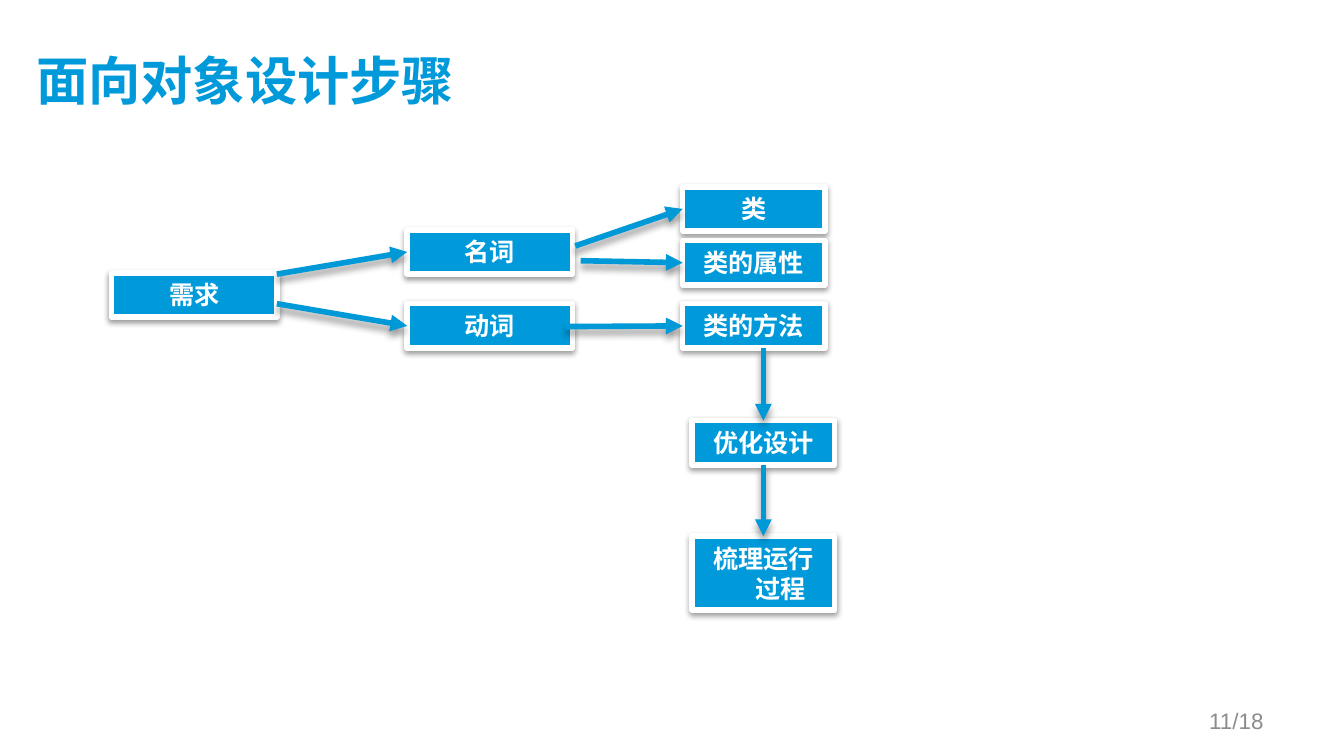
from lxml.etree import SubElement
from pptx import Presentation
from pptx.dml.color import RGBColor
from pptx.enum.shapes import MSO_CONNECTOR as CONN, MSO_SHAPE as SHAPE
from pptx.enum.text import MSO_ANCHOR as ANCHOR, MSO_AUTO_SIZE as AUTO, PP_ALIGN as ALIGN
from pptx.oxml.ns import qn
from pptx.util import Pt

PX = 9144  # 100 px to the inch
COLORS = {"title": "0099D9", "box": "009ADA", "arrow": "0099D8",
          "white": "FFFFFF", "page": "8C8C8C", "shadow": "000000"}
TOP, LEFT, BOTTOM = 0, 1, 2


def px(*lengths):
    return [n * PX for n in lengths]


def rgb(name):
    return RGBColor.from_string(COLORS[name])


def style_run(p, font, size, color, bold=False):
    r = p.runs[0]
    r.font.name, r.font.size, r.font.bold = font, Pt(size), bold
    r.font.color.rgb = rgb(color)
    return r


def add_shadow(sp, alpha, blur, dist):
    """Drop a shadow straight down; call it after the line is set."""
    effects = SubElement(sp._element.spPr, qn("a:effectLst"))
    shadow = SubElement(effects, qn("a:outerShdw"), blurRad=str(Pt(blur)),
                        dist=str(Pt(dist)), dir="5400000", rotWithShape="0")
    color = SubElement(shadow, qn("a:srgbClr"), val=COLORS["shadow"])
    SubElement(color, qn("a:alpha"), val=str(alpha * 1000))


def add_title(s, x, y, w, h):
    tf = s.shapes.add_textbox(*px(x, y, w, h)).text_frame
    tf.word_wrap, tf.vertical_anchor = True, ANCHOR.MIDDLE
    tf.margin_left = tf.margin_top = 0
    p = tf.paragraphs[0]
    p.text = "面向对象设计步骤"
    r = style_run(p, "Noto Sans CJK SC", 28, "title", True)
    SubElement(r.font._element, qn("a:ea"), typeface="Noto Sans CJK SC")


def add_page_number(s, x, y, w, h):
    tf = s.shapes.add_textbox(*px(x, y, w, h)).text_frame
    tf.word_wrap, tf.vertical_anchor = True, ANCHOR.MIDDLE
    p = tf.paragraphs[0]
    p.text = "11/18"
    p.alignment = ALIGN.RIGHT
    style_run(p, "Arial", 12, "page")


def add_box(s, text, x, y, w, h=33):
    sp = s.shapes.add_shape(SHAPE.RECTANGLE, *px(x, y, w, h))
    sp.fill.solid()
    sp.fill.fore_color.rgb = rgb("box")
    sp.line.color.rgb = rgb("white")
    sp.line.width = Pt(3)
    add_shadow(sp, 38, 3.1, 1.6)
    tf = sp.text_frame
    tf.word_wrap, tf.vertical_anchor = True, ANCHOR.TOP
    tf.auto_size = AUTO.SHAPE_TO_FIT_TEXT
    p = tf.paragraphs[0]
    p.text = text
    p.alignment = ALIGN.CENTER
    pPr = p._p.get_or_add_pPr()
    pPr.set("marL", str(25 * PX))
    pPr.set("indent", str(-25 * PX))
    style_run(p, "Calibri", 13.5, "white", True)
    return sp


def add_arrow(s, x, y, target, side, source=None):
    """Point from (x, y), or from the bottom of source, to a side of target."""
    c = s.shapes.add_connector(CONN.STRAIGHT, *px(x, y, x, y))
    if source:
        c.begin_connect(source, BOTTOM)
    c.end_connect(target, side)
    c.line.color.rgb = rgb("arrow")
    c.line.width = Pt(3)
    SubElement(c.line._get_or_add_ln(), qn("a:tailEnd"), type="triangle")
    add_shadow(c, 40, 4, 3)


def add_design_flow(s, x, y):
    words, classes, steps = x + 220, x + 425, x + 432
    add_box(s, "需求", x, y + 64, 123)
    noun = add_box(s, "名词", words, y + 32, 123)
    verb = add_box(s, "动词", words, y + 87, 123)
    cls = add_box(s, "类", classes, y, 106)
    attribute = add_box(s, "类的属性", classes, y + 40, 106)
    method = add_box(s, "类的方法", classes, y + 87, 106)
    refine = add_box(s, "优化设计", steps, y + 174, 106)
    run_through = add_box(s, "梳理运行过程", steps, y + 260, 106, 55)

    for dx, dy, target, side in [(123, 65, noun, LEFT), (345, 44, cls, LEFT),
                                 (349, 55, attribute, LEFT), (485, 120, refine, TOP),
                                 (338, 104, method, LEFT), (123, 87, verb, LEFT)]:
        add_arrow(s, x + dx, y + dy, target, side)
    add_arrow(s, x + 485, y + 207, run_through, TOP, source=refine)


def main():
    prs = Presentation()
    prs.slide_width = 1000 * PX
    prs.slide_height = prs.slide_width * 9 // 16
    s = prs.slides.add_slide(prs.slide_layouts[6])
    add_title(s, 27, 23, 895, 77)
    add_design_flow(s, 83, 139)
    add_page_number(s, 717, 521, 233, 30)
    prs.save("out.pptx")


if __name__ == "__main__":
    main()
